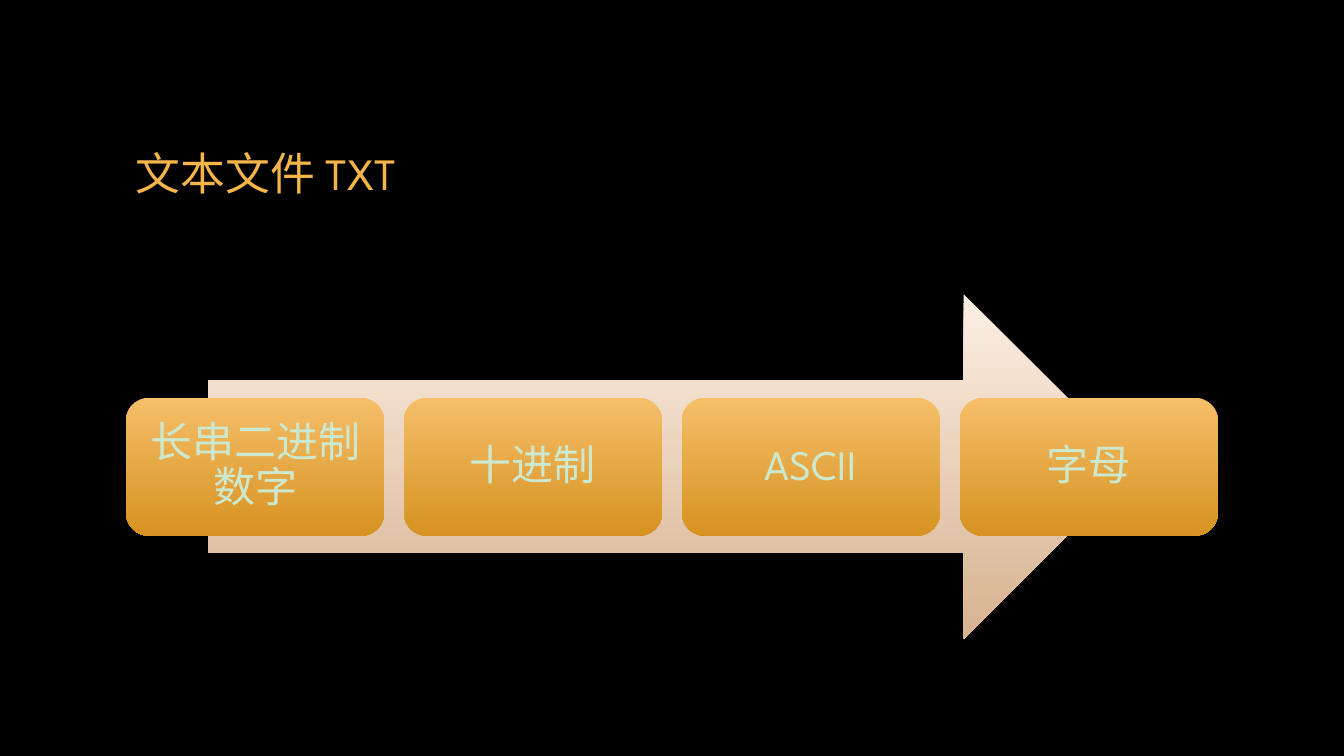
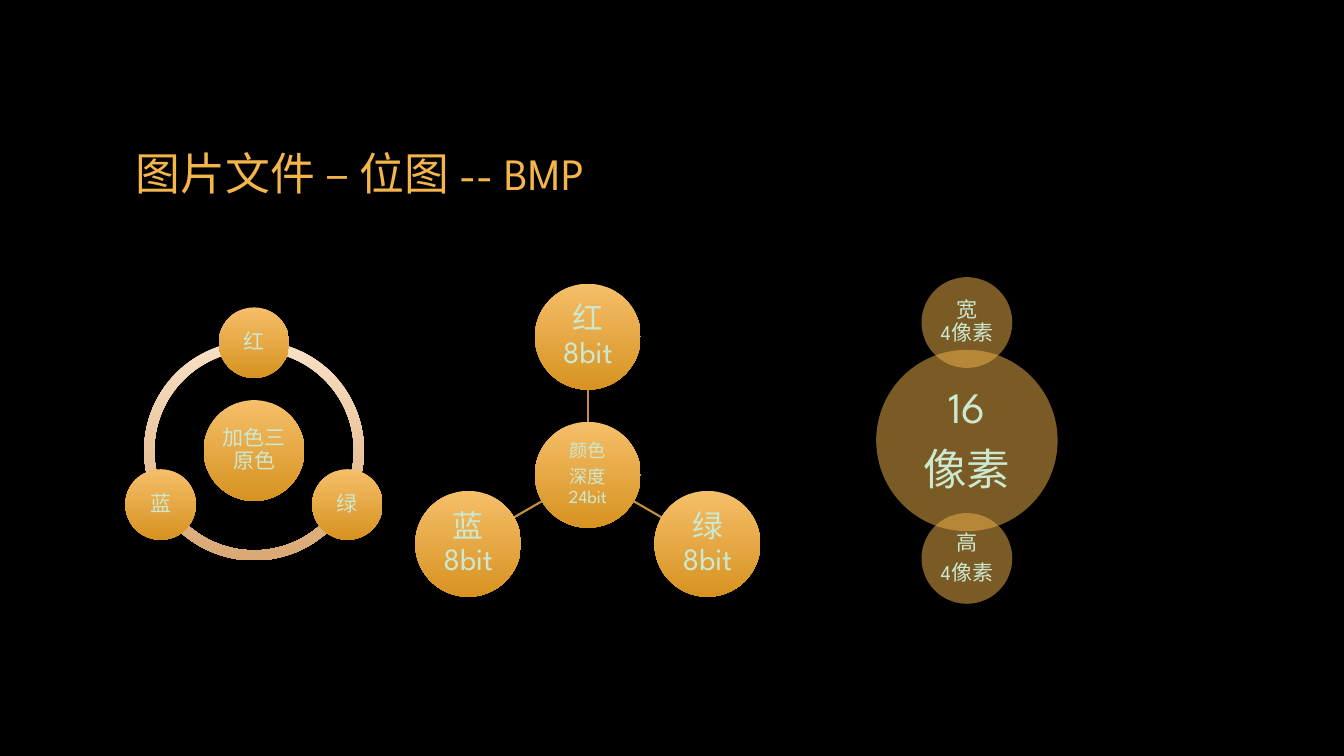
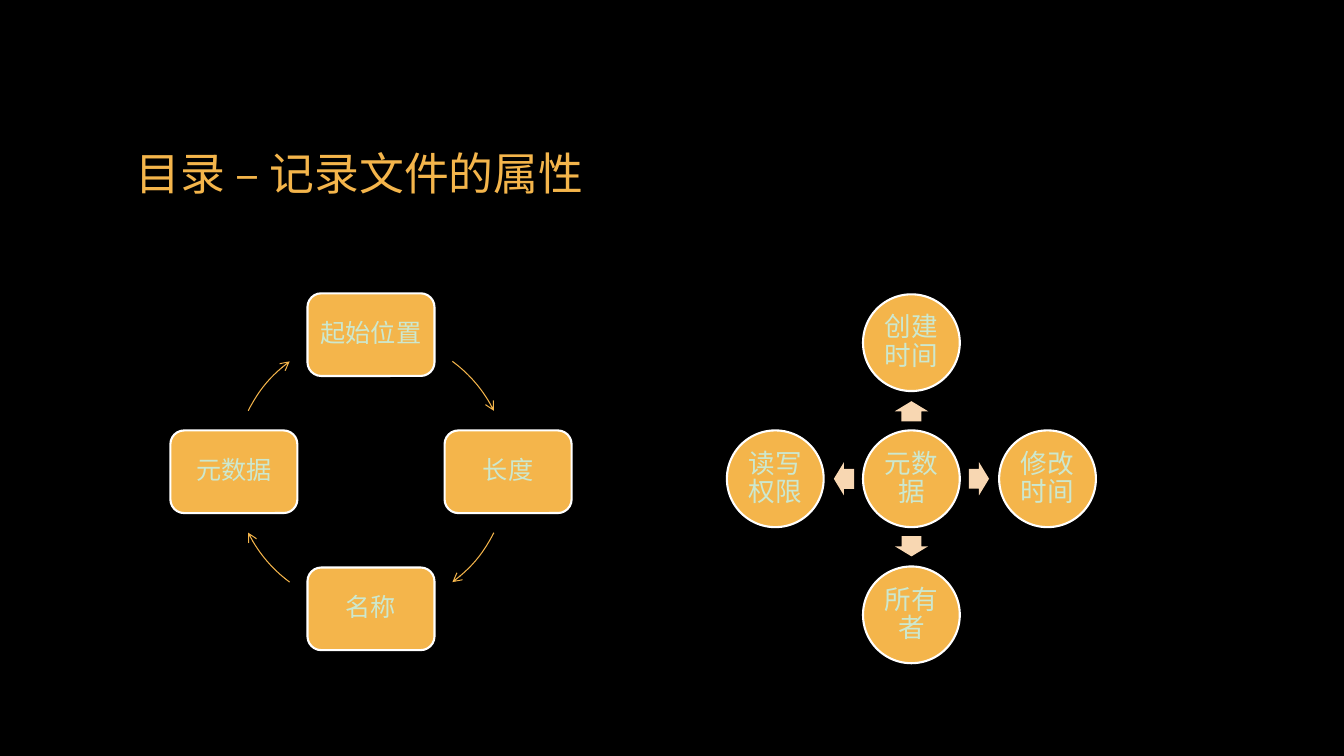
from dataclasses import dataclass
from math import cos, radians, sin

from pptx import Presentation
from pptx.dml.color import RGBColor
from pptx.enum.dml import MSO_FILL
from pptx.enum.lang import MSO_LANGUAGE_ID
from pptx.enum.shapes import MSO_CONNECTOR, MSO_SHAPE
from pptx.enum.text import MSO_ANCHOR, PP_ALIGN
from pptx.oxml.ns import qn
from pptx.oxml.xmlchemy import OxmlElement
from pptx.util import Inches, Pt

ELLIPSE = MSO_SHAPE.OVAL
ROUNDED = MSO_SHAPE.ROUNDED_RECTANGLE
RIGHT_ARROW = MSO_SHAPE.RIGHT_ARROW
BLOCK_ARC = MSO_SHAPE.BLOCK_ARC
ARC = MSO_SHAPE.ARC
STRAIGHT = MSO_CONNECTOR.STRAIGHT
MIDDLE = MSO_ANCHOR.MIDDLE
CENTER = PP_ALIGN.CENTER
SOLID = MSO_FILL.SOLID
CHINESE = MSO_LANGUAGE_ID.SIMPLIFIED_CHINESE


@dataclass(frozen=True)
class Theme:
    font: str = "League Spartan"
    background: str = "000000"
    accent: str = "F4B54B"
    text: str = "CCE8CF"
    outline: str = "FFFFFF"
    spoke: str = "C3913C"
    pale: str = "F8D7B2"
    node: tuple = ("F5BE69", "D79321")
    band: tuple = ("FCEFE3", "D6B28F")
    ring: tuple = ("FAE1C6", "D9A873")
    title_size: int = 32
    total_size: int = 31
    step_size: int = 30
    channel_size: int = 22
    hub_size: int = 19
    cycle_size: int = 18
    label_size: int = 15
    depth_size: int = 13


THEME = Theme()
TITLE_BOX = (1.25, 0.67, 10.83, 2.08)


def color(code):
    return RGBColor.from_string(code)


def polar(center, radius, angle):
    x, y = center
    return x + radius * cos(radians(angle)), y + radius * sin(radians(angle))


def centered(center, width, height):
    return center[0] - width / 2, center[1] - height / 2, width, height


def style_text(paragraph, size, code):
    paragraph.font.size = Pt(size)
    for run in paragraph.runs:
        run.font.size = Pt(size)
        run.font.name = THEME.font
        run.font.color.rgb = color(code)
        run.font.language_id = CHINESE


def add_shape(slide, kind, box, fill=None, outline=None, width=1.5):
    shape = slide.shapes.add_shape(kind, *map(Inches, box))
    shape.shadow.inherit = False
    if fill is None:
        shape.fill.background()
    elif isinstance(fill, tuple):
        shape.fill.gradient()
        shape.fill.gradient_angle = 270
        for stop, code in zip(shape.fill.gradient_stops, fill):
            stop.color.rgb = color(code)
    else:
        shape.fill.solid()
        shape.fill.fore_color.rgb = color(fill)
    if outline:
        shape.line.color.rgb = color(outline)
        shape.line.width = Pt(width)
    else:
        shape.line.fill.background()
    return shape


def add_node(slide, kind, box, label, size, inset, fill, outline=None):
    shape = add_shape(slide, kind, box, fill, outline)
    frame = shape.text_frame
    frame.word_wrap = True
    frame.vertical_anchor = MIDDLE
    frame.margin_left = frame.margin_right = Inches(inset)
    frame.margin_top = frame.margin_bottom = Inches(inset)
    frame.text = label
    for paragraph in frame.paragraphs:
        paragraph.alignment = CENTER
        paragraph.line_spacing = 0.9
        paragraph.space_after = Pt(round(0.35 * size, 1))
        style_text(paragraph, size, THEME.text)
    return shape


def set_opacity(shape, percent):
    if shape.fill.type == SOLID:
        fill_color = shape.element.spPr.find(qn("a:solidFill"))[0]
        alpha = OxmlElement("a:alpha")
        alpha.set("val", str(percent * 1000))
        fill_color.append(alpha)


def add_titled_slide(presentation, title):
    slide = presentation.slides.add_slide(presentation.slide_layouts[6])
    frame = slide.shapes.add_textbox(*map(Inches, TITLE_BOX)).text_frame
    frame.word_wrap = True
    frame.vertical_anchor = MIDDLE
    frame.text = title
    style_text(frame.paragraphs[0], THEME.title_size, THEME.accent)
    return slide


def add_pipeline(slide, box, steps):
    left, top, width, height = box
    center = (left + width / 2, top + height / 2)
    add_shape(slide, RIGHT_ARROW, centered(center, width * 0.85, height), THEME.band)
    step_width, step_height = 2.56, height * 0.4
    pitch = (width - step_width) / (len(steps) - 1)
    for index, label in enumerate(steps):
        step_box = (left + index * pitch, center[1] - step_height / 2, step_width, step_height)
        add_node(slide, ROUNDED, step_box, label, THEME.step_size, 0.12, THEME.node)


def add_color_ring(slide, center, hub, satellites):
    for start, end in ((90, 162), (18, 90), (162, 18)):
        arc = add_shape(slide, BLOCK_ARC, centered(center, 2.18, 2.18), THEME.ring)
        arc.adjustments[0] = start * 0.6
        arc.adjustments[1] = end * 0.6
        arc.adjustments[2] = 0.046
    add_node(slide, ELLIPSE, centered(center, 1, 1), hub, THEME.label_size, 0.02, THEME.node)
    for index, label in enumerate(satellites):
        spot = polar(center, 1.07, index * 120 - 90)
        add_node(slide, ELLIPSE, centered(spot, 0.7, 0.7), label, THEME.label_size, 0.02, THEME.node)


def add_depth_spokes(slide, center, hub, channels):
    diameter, reach = 1.05, 1.37
    add_node(slide, ELLIPSE, centered(center, diameter, diameter), hub,
             THEME.depth_size, 0.01, THEME.node)
    for index, label in enumerate(channels):
        angle = index * 120 - 90
        start = polar(center, diameter / 2, angle)
        end = polar(center, reach - diameter / 2, angle)
        spoke = slide.shapes.add_connector(STRAIGHT, *map(Inches, start + end))
        spoke.line.color.rgb = color(THEME.spoke)
        spoke.line.width = Pt(1.5)
        spoke.element.spPr.append(OxmlElement("a:effectLst"))
        spot = polar(center, reach, angle)
        add_node(slide, ELLIPSE, centered(spot, diameter, diameter), label,
                 THEME.channel_size, 0.02, THEME.node)


def add_pixel_stack(slide, center, total, width_label, height_label):
    circles = (
        (0, 1.8, total, THEME.total_size, 0.04),
        (-1.17, 0.9, width_label, THEME.label_size, 0.02),
        (1.17, 0.9, height_label, THEME.label_size, 0.02),
    )
    for offset, diameter, label, size, inset in circles:
        box = centered((center[0], center[1] + offset), diameter, diameter)
        circle = add_node(slide, ELLIPSE, box, label, size, inset, THEME.accent)
        set_opacity(circle, 50)


def add_cycle(slide, center, labels):
    radius = 1.36
    for index, label in enumerate(labels):
        angle = index * 90 - 90
        box = centered(polar(center, radius, angle), 1.26, 0.82)
        add_node(slide, ROUNDED, box, label, THEME.cycle_size, 0.07, THEME.accent, THEME.outline)
        start, end = (36.4, 63.6) if index % 2 == 0 else (26.4, 53.6)
        arc = add_shape(slide, ARC, centered(center, 2 * radius, 2 * radius),
                        outline=THEME.accent, width=0.75)
        arc.adjustments[0] = (angle + start) % 360 * 0.6
        arc.adjustments[1] = (angle + end) % 360 * 0.6
        arrowhead = OxmlElement("a:tailEnd")
        arrowhead.set("type", "arrow")
        arc.element.spPr.find(qn("a:ln")).append(arrowhead)


def add_metadata_hub(slide, center, hub, attributes):
    def add_circle(spot, label):
        add_node(slide, ELLIPSE, centered(spot, 0.96, 0.96), label,
                 THEME.hub_size, 0.03, THEME.accent, THEME.outline)

    add_circle(center, hub)
    for index, label in enumerate(attributes):
        angle = index * 90 - 90
        arrow = add_shape(slide, RIGHT_ARROW,
                          centered(polar(center, 0.67, angle), 0.2, 0.33), THEME.pale)
        arrow.adjustments[0] = 0.6
        arrow.rotation = angle % 360
        add_circle(polar(center, 1.35, angle), label)


def build_text_file_slide(presentation):
    slide = add_titled_slide(presentation, "文本文件 TXT")
    add_pipeline(slide, (1.25, 2.92, 10.83, 3.42),
                 ["长串二进制数字", "十进制", "ASCII", "字母"])


def build_bitmap_slide(presentation):
    slide = add_titled_slide(presentation, "图片文件 – 位图 -- BMP")
    add_color_ring(slide, (2.52, 4.47), "加色三原色", ["红", "绿", "蓝"])
    add_depth_spokes(slide, (5.83, 4.71), "颜色\n深度\v24bit",
                     ["红8bit", "绿\v8bit", "蓝\v8bit"])
    add_pixel_stack(slide, (9.59, 4.37), "16\n像素", "宽\v4像素", "高\n4像素")


def build_directory_slide(presentation):
    slide = add_titled_slide(presentation, "目录 – 记录文件的属性")
    add_cycle(slide, (3.68, 4.68), ["起始位置", "长度", "名称", "元数据"])
    add_metadata_hub(slide, (9.04, 4.75), "元数据",
                     ["创建时间", "修改时间", "所有者", "读写权限"])


def main():
    presentation = Presentation()
    presentation.slide_width = Inches(13.33)
    presentation.slide_height = Inches(7.5)
    background = presentation.slide_master.background.fill
    background.solid()
    background.fore_color.rgb = color(THEME.background)
    build_text_file_slide(presentation)
    build_bitmap_slide(presentation)
    build_directory_slide(presentation)
    presentation.save("out.pptx")


if __name__ == "__main__":
    main()
